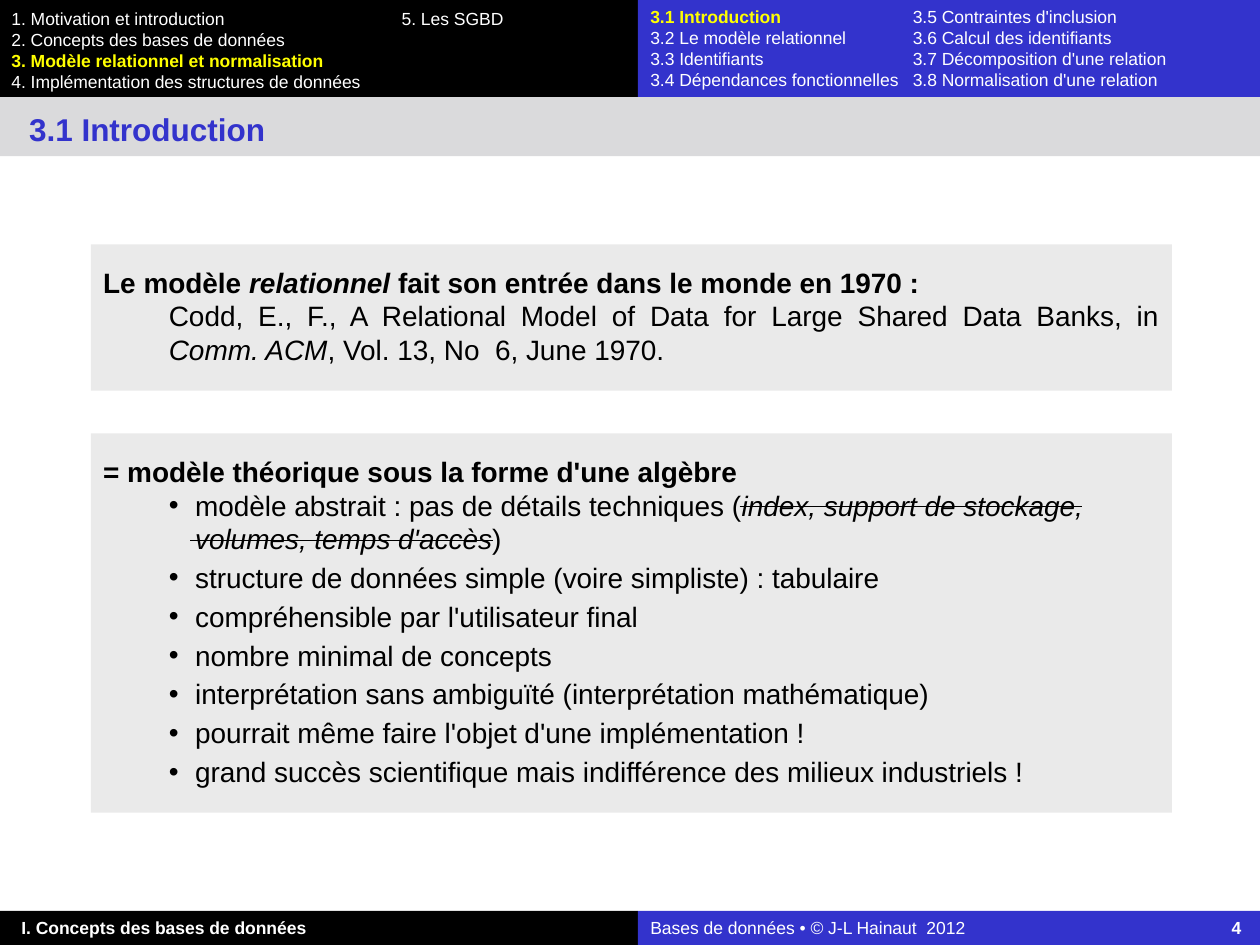
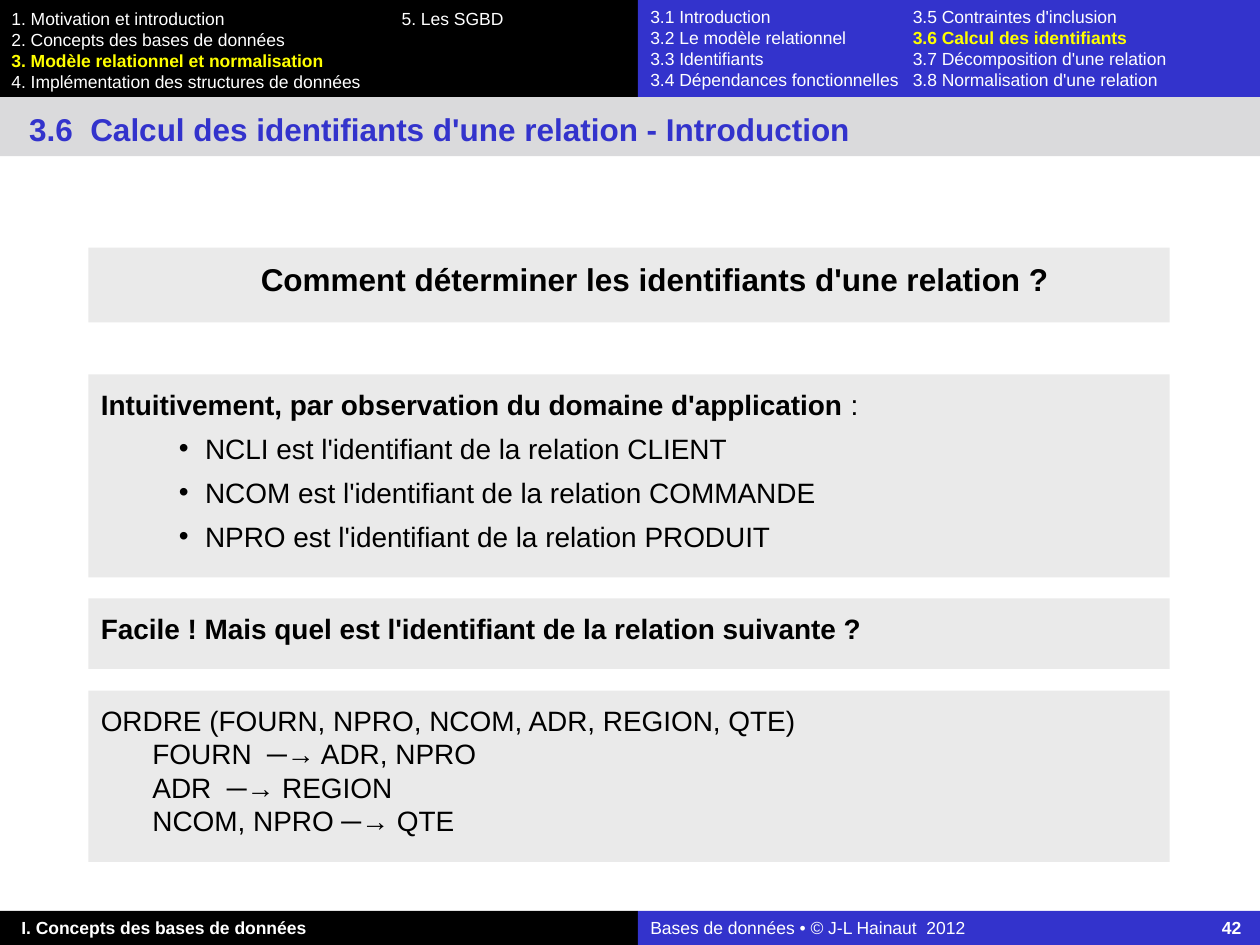
"""Build two course slides on the relational model."""
from dataclasses import dataclass

from lxml.etree import SubElement
from pptx import Presentation
from pptx.dml.color import RGBColor
from pptx.enum.shapes import MSO_CONNECTOR as CONNECTOR, MSO_SHAPE as SHAPE
from pptx.enum.text import MSO_ANCHOR as ANCHOR, PP_ALIGN as ALIGN
from pptx.oxml.ns import qn
from pptx.util import Pt

BLACK = RGBColor(0x00, 0x00, 0x00)
WHITE = RGBColor(0xFF, 0xFF, 0xFF)
BLUE = RGBColor(0x33, 0x33, 0xCC)
YELLOW = RGBColor(0xFF, 0xFF, 0x00)
TITLE_GREY = RGBColor(0xDA, 0xDA, 0xDC)
PANEL_GREY = RGBColor(0xEA, 0xEA, 0xEA)
FONT = "Arial"

WIDTH, HEIGHT = 720, 540
SPLIT = 364.5
HEADER_H, TITLE_H, FOOTER_H = 55.5, 33.8, 19.5
PANEL_W = 617.8
HANG = 15

CHAPTERS = [
    "1. Motivation et introduction",
    "2. Concepts des bases de données",
    "3. Modèle relationnel et normalisation",
    "4. Implémentation des structures de données",
    "5. Les SGBD",
]
SECTIONS = [
    "3.1 Introduction",
    "3.2 Le modèle relationnel",
    "3.3 Identifiants",
    "3.4 Dépendances fonctionnelles",
    "3.5 Contraintes d'inclusion",
    "3.6 Calcul des identifiants",
    "3.7 Décomposition d'une relation",
    "3.8 Normalisation d'une relation",
]


@dataclass
class Para:
    """Paragraph of a panel: (text, style) pieces, style made of b and i."""
    pieces: list
    size: float = 16
    left: float = 0
    bullet: bool = False
    before: float = 0
    after: float = 0
    line: float = None
    align: ALIGN = ALIGN.LEFT


def add_box(s, box, fill, insets):
    """Add a plain filled rectangle and return its text frame."""
    sp = s.shapes.add_shape(SHAPE.RECTANGLE, *map(Pt, box))
    sp.shadow.inherit = False
    sp.fill.solid()
    sp.fill.fore_color.rgb = fill
    sp.line.fill.background()
    tf = sp.text_frame
    tf.word_wrap = True
    tf.vertical_anchor = ANCHOR.TOP
    tf.margin_left, tf.margin_top, tf.margin_right, tf.margin_bottom = map(Pt, insets)
    return tf


def next_paragraph(tf, index):
    """Return the first paragraph, or a new one after it, left aligned."""
    p = tf.add_paragraph() if index else tf.paragraphs[0]
    p.alignment = ALIGN.LEFT
    return p


def add_run(p, text, size, color, bold=False, italic=False):
    """Append a formatted run to a paragraph."""
    r = p.add_run()
    r.text = text
    r.font.name, r.font.size = FONT, Pt(size)
    r.font.bold, r.font.italic = bold, italic
    r.font.color.rgb = color


def add_tab(p, pos, side):
    """Give a paragraph one tab stop."""
    tabs = SubElement(p._p.get_or_add_pPr(), qn("a:tabLst"))
    SubElement(tabs, qn("a:tab"), pos=str(Pt(pos)), algn=side)


def set_indent(p, left, bullet):
    """Indent a paragraph, with a hanging bullet if asked."""
    pPr = p._p.get_or_add_pPr()
    pPr.set("marL", str(Pt(left)))
    pPr.set("indent", str(Pt(-HANG if bullet else 0)))
    if bullet:
        SubElement(pPr, qn("a:buFont"), typeface=FONT)
        SubElement(pPr, qn("a:buChar"), char="•")
    else:
        SubElement(pPr, qn("a:buNone"))


def add_menu(s, box, fill, insets, items, current, tab, rows=4):
    """Fill a header box with items in two columns, the current one in yellow."""
    tf = add_box(s, box, fill, insets)
    for row in range(rows):
        p = next_paragraph(tf, row)
        add_tab(p, tab, "l")
        for i in range(row, len(items), rows):
            active = items[i].startswith(current)
            text = items[i] if i == row else "\t" + items[i]
            add_run(p, text, 10, YELLOW if active else WHITE, active)


def add_title(s, box, title):
    """Draw the title band."""
    tf = add_box(s, box, TITLE_GREY, (16.6, 7.2, 7.2, 3.6))
    add_run(next_paragraph(tf, 0), title, 18, BLUE, True)


def add_footer(s, box, number):
    """Draw the two halves of the footer."""
    x, y, w, h = box
    tf = add_box(s, (x, y, SPLIT, h), BLACK, (12.2, 3.6, 7.2, 3.6))
    add_run(next_paragraph(tf, 0), "I. Concepts des bases de données", 10, WHITE, True)
    tf = add_box(s, (x + SPLIT, y, w - SPLIT, h), BLUE, (7.2, 3.6, 7.2, 3.6))
    p = next_paragraph(tf, 0)
    add_tab(p, 337.7, "r")
    add_run(p, "Bases de données • © J-L Hainaut  2012\t", 10, WHITE)
    add_run(p, str(number), 10, WHITE, True)


def add_panel(s, box, paras):
    """Draw a grey panel holding the given paragraphs."""
    tf = add_box(s, box, PANEL_GREY, (7.2, 7.2, 7.2, 14.4))
    for i, para in enumerate(paras):
        p = next_paragraph(tf, i)
        set_indent(p, para.left, para.bullet)
        p.alignment = para.align
        p.space_before, p.space_after = Pt(para.before), Pt(para.after)
        if para.line:
            p.line_spacing = para.line
        for text, style in para.pieces:
            add_run(p, text, para.size, BLACK, "b" in style, "i" in style)


def add_strike(s, x, y, length):
    """Draw a thin horizontal line across some words."""
    line = s.shapes.add_connector(CONNECTOR.STRAIGHT, Pt(x), Pt(y), Pt(x + length), Pt(y))
    line.line.color.rgb = BLACK
    line.line.width = Pt(0.75)
    SubElement(line._element.spPr, qn("a:effectLst"))


def add_course_slide(prs, title, section, number):
    """Add a slide with the header menus, title band and footer."""
    s = prs.slides.add_slide(prs.slide_layouts[6])
    add_menu(s, (0, 0, SPLIT, HEADER_H), BLACK, (6.5, 4.3, 7.2, 3.6),
             CHAPTERS, "3.", 223)
    add_menu(s, (SPLIT, 0, WIDTH - SPLIT, HEADER_H), BLUE, (7.2, 3.6, 7.2, 3.6),
             SECTIONS, section, 150)
    add_title(s, (0, HEADER_H, WIDTH, TITLE_H), title)
    add_footer(s, (0, HEIGHT - FOOTER_H, WIDTH, FOOTER_H), number)
    return s


def build_introduction(prs):
    """Build the slide on the origin of the relational model."""
    s = add_course_slide(prs, "3.1 Introduction", "3.1", 4)
    x, y = 51.9, 247.7
    add_panel(s, (x, 139.7, PANEL_W, 83.5), [
        Para([("Le modèle ", "b"), ("relationnel", "bi"),
              (" fait son entrée dans le monde en 1970 :", "b")], line=1.25),
        Para([("Codd, E., F., A Relational Model of Data for Large Shared Data Banks, in ", ""),
              ("Comm. ACM", "i"), (", Vol. 13, No  6, June 1970.", "")],
             left=37.5, after=3, align=ALIGN.JUSTIFY),
    ])
    qualities = [
        [("modèle abstrait : pas de détails techniques (", ""),
         ("index, support de stockage, volumes, temps d'accès", "i"), (")", "")],
        [("structure de données simple (voire simpliste) : tabulaire", "")],
        [("compréhensible par l'utilisateur final", "")],
        [("nombre minimal de concepts", "")],
        [("interprétation sans ambiguïté (interprétation mathématique)", "")],
        [("pourrait même faire l'objet d'une implémentation !", "")],
        [("grand succès scientifique mais indifférence des milieux industriels !", "")],
    ]
    add_panel(s, (x, y, PANEL_W, 216.7), [
        Para([("= modèle théorique sous la forme d'une algèbre", "b")], line=1.25),
        *(Para(pieces, left=52.5, bullet=True, after=3) for pieces in qualities),
    ])
    add_strike(s, x + 370.8, y + 41.8, 195.8)
    add_strike(s, x + 56.8, y + 61.2, 172.8)


def build_identifiers(prs):
    """Build the slide on finding the identifiers of a relation."""
    s = add_course_slide(prs, "3.6  Calcul des identifiants d'une relation - Introduction",
                         "3.6", 42)
    x = 50.5
    known = [("NCLI", "CLIENT"), ("NCOM", "COMMANDE"), ("NPRO", "PRODUIT")]
    dependencies = ["FOURN  ─→ ADR, NPRO", "ADR  ─→ REGION", "NCOM, NPRO ─→ QTE"]
    add_panel(s, (x, 141.5, PANEL_W, 42.8), [
        Para([("Comment déterminer les identifiants d'une relation ?", "b")],
             size=18, left=29.5, align=ALIGN.CENTER),
    ])
    add_panel(s, (x, 214, PANEL_W, 115.9), [
        Para([("Intuitivement, par observation du domaine d'application", "b"), (" :", "")]),
        *(Para([(f"{key} est l'identifiant de la relation {relation}", "")],
               left=59.6, bullet=True, before=6) for key, relation in known),
    ])
    add_panel(s, (x, 342, PANEL_W, 40.3), [
        Para([("Facile ! Mais quel est l'identifiant de la relation suivante ?", "b")]),
    ])
    add_panel(s, (x, 394.6, PANEL_W, 97.9), [
        Para([("ORDRE (FOURN, NPRO, NCOM, ADR, REGION, QTE)", "")]),
        *(Para([(text, "")], left=29.5) for text in dependencies),
    ])


def main():
    """Build and save the presentation."""
    prs = Presentation()
    prs.slide_width, prs.slide_height = Pt(WIDTH), Pt(HEIGHT)
    build_introduction(prs)
    build_identifiers(prs)
    prs.save("out.pptx")


if __name__ == "__main__":
    main()
